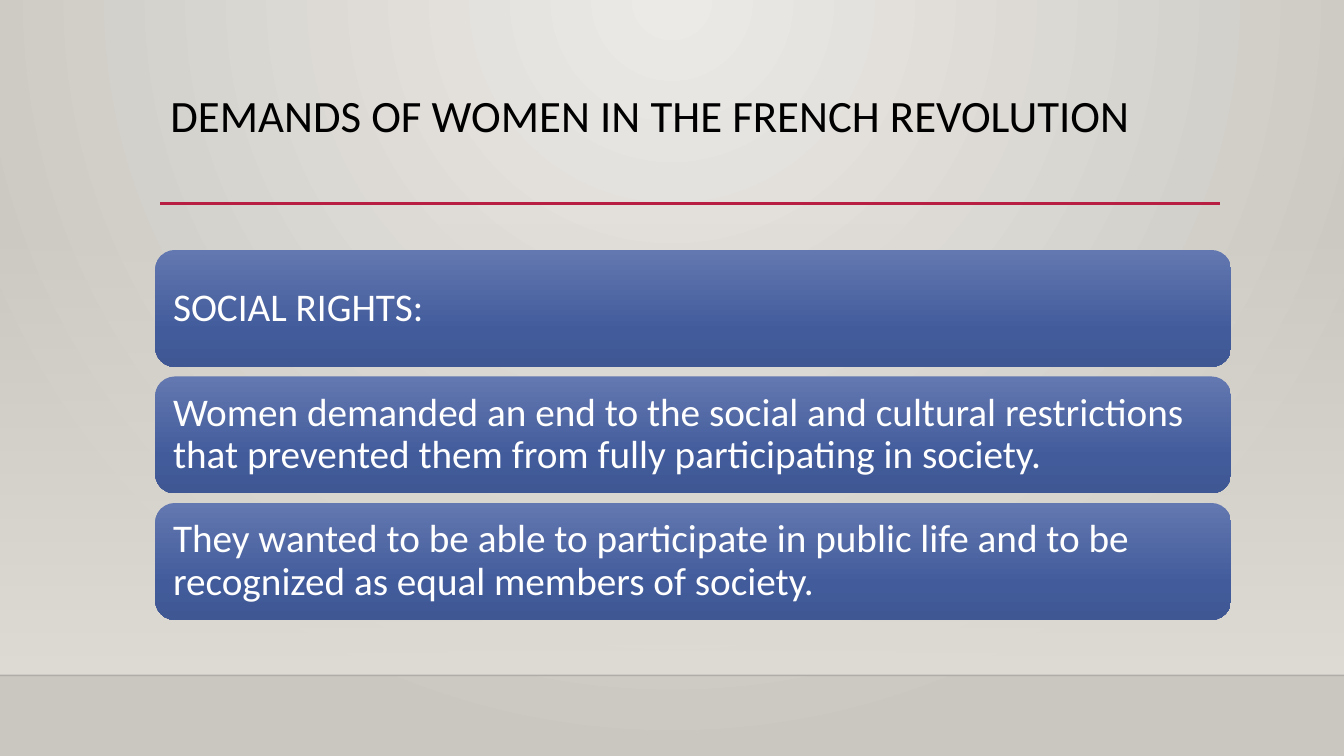
import pptx
import pptx.util
import pptx.oxml
import pptx.oxml.ns
import pptx.dml.color
import pptx.enum.shapes
import pptx.enum.text

Inches, Pt = pptx.util.Inches, pptx.util.Pt
qn = pptx.oxml.ns.qn

TITLE = "DEMANDS OF WOMEN IN THE FRENCH REVOLUTION"
DEMANDS = [
    "SOCIAL RIGHTS:",
    "Women demanded an end to the social and cultural restrictions "
    "that prevented them from fully participating in society.",
    "They wanted to be able to participate in public life and to be "
    "recognized as equal members of society.",
]
FONT = "Calibri"
COLORS = {"title": "000000", "card_text": "FFFFFF", "rule": "B71E42", "floor": "000001"}
# Gradient stops: position %, colour, opacity %
BACKDROP = [(0, "ECEAE7", 100), (100, "CAC7C1", 100)]
WALL = [(0, "DFDBD5", 0), (100, "DFDBD5", 100)]
CARD = [(0, "6378B0", 100), (69, "425B9B", 100), (100, "3F5793", 100)]

DOWNWARD = '<a:lin ang="5400000" scaled="0"/>'
FROM_TOP = ('<a:path path="circle"><a:fillToRect l="43000" t="0" r="43000" b="100000"/>'
            '</a:path>')

WIDTH, HEIGHT = 13.33, 7.5
WALL_TOP, FLOOR_Y = 2.21, 6.7
RULE_LEFT, RULE_RIGHT, RULE_Y = 1.59, 12.1, 2.02
CARD_LEFT, CARD_TOP, CARD_WIDTH, CARD_HEIGHT = 1.54, 2.48, 10.67, 1.16
CARD_STEP = 1.255


def rgb(name):
    return pptx.dml.color.RGBColor.from_string(COLORS[name])


def set_gradient(fill, element, stops, direction):
    """Give the fill held inside element the listed stops and direction."""
    fill.gradient()
    previous = element.find(".//" + qn("a:gradFill"))
    stop_xml = "".join(
        f'<a:gs pos="{pos * 1000}"><a:srgbClr val="{color}">'
        f'<a:alpha val="{opacity * 1000}"/></a:srgbClr></a:gs>'
        for pos, color, opacity in stops)
    gradient = pptx.oxml.parse_xml(
        f'<a:gradFill {pptx.oxml.ns.nsdecls("a")} rotWithShape="1">'
        f"<a:gsLst>{stop_xml}</a:gsLst>{direction}</a:gradFill>")
    previous.getparent().replace(previous, gradient)


def add_block(page, kind, left, top, width, height, stops):
    block = page.shapes.add_shape(
        kind, Inches(left), Inches(top), Inches(width), Inches(height))
    block.shadow.inherit = False
    block.line.fill.background()
    set_gradient(block.fill, block.element, stops, DOWNWARD)
    return block


def add_rule(page, left, right, y, color, weight, opacity=100):
    rule = page.shapes.add_connector(
        pptx.enum.shapes.MSO_CONNECTOR.STRAIGHT,
        Inches(left), Inches(y), Inches(right), Inches(y))
    rule.line.width = Pt(weight)
    rule.line.color.rgb = rgb(color)
    properties = rule.element.spPr
    if opacity < 100:
        alpha = properties.find(".//" + qn("a:srgbClr")).makeelement(
            qn("a:alpha"), {"val": str(opacity * 1000)})
        properties.find(".//" + qn("a:srgbClr")).append(alpha)
    properties.append(properties.makeelement(qn("a:effectLst"), {}))


def write(frame, text, size, color, anchor):
    frame.word_wrap = True
    frame.auto_size = pptx.enum.text.MSO_AUTO_SIZE.NONE
    frame.vertical_anchor = anchor
    para = frame.paragraphs[0]
    para.alignment = pptx.enum.text.PP_ALIGN.LEFT
    para.line_spacing = 0.9
    span = para.add_run()
    span.text = text
    span.font.name = FONT
    span.font.size = Pt(size)
    span.font.color.rgb = rgb(color)


def main():
    deck = pptx.Presentation()
    deck.slide_width, deck.slide_height = Inches(WIDTH), Inches(HEIGHT)
    page = deck.slides.add_slide(deck.slide_layouts.get_by_name("Title Only"))
    set_gradient(page.background.fill, page.element, BACKDROP, FROM_TOP)

    shapes = pptx.enum.shapes.MSO_SHAPE
    anchors = pptx.enum.text.MSO_ANCHOR
    add_block(page, shapes.RECTANGLE, 0, WALL_TOP, WIDTH, FLOOR_Y - WALL_TOP, WALL)
    add_rule(page, 0, WIDTH, FLOOR_Y, "floor", 1, opacity=20)
    add_rule(page, RULE_LEFT, RULE_RIGHT, RULE_Y, "rule", 2.5)

    title = page.shapes.title
    title.left, title.top = Inches(RULE_LEFT), Inches(0.88)
    title.width, title.height = Inches(10.5), Inches(1.15)
    write(title.text_frame, TITLE, 32, "title", anchors.TOP)

    for index, demand in enumerate(DEMANDS):
        card = add_block(page, shapes.ROUNDED_RECTANGLE, CARD_LEFT,
                         CARD_TOP + index * CARD_STEP, CARD_WIDTH, CARD_HEIGHT, CARD)
        frame = card.text_frame
        frame.margin_left = frame.margin_right = Inches(0.12)
        frame.margin_top = frame.margin_bottom = Inches(0.12)
        write(frame, demand, 28, "card_text", anchors.MIDDLE)

    deck.save("out.pptx")


if __name__ == "__main__":
    main()
